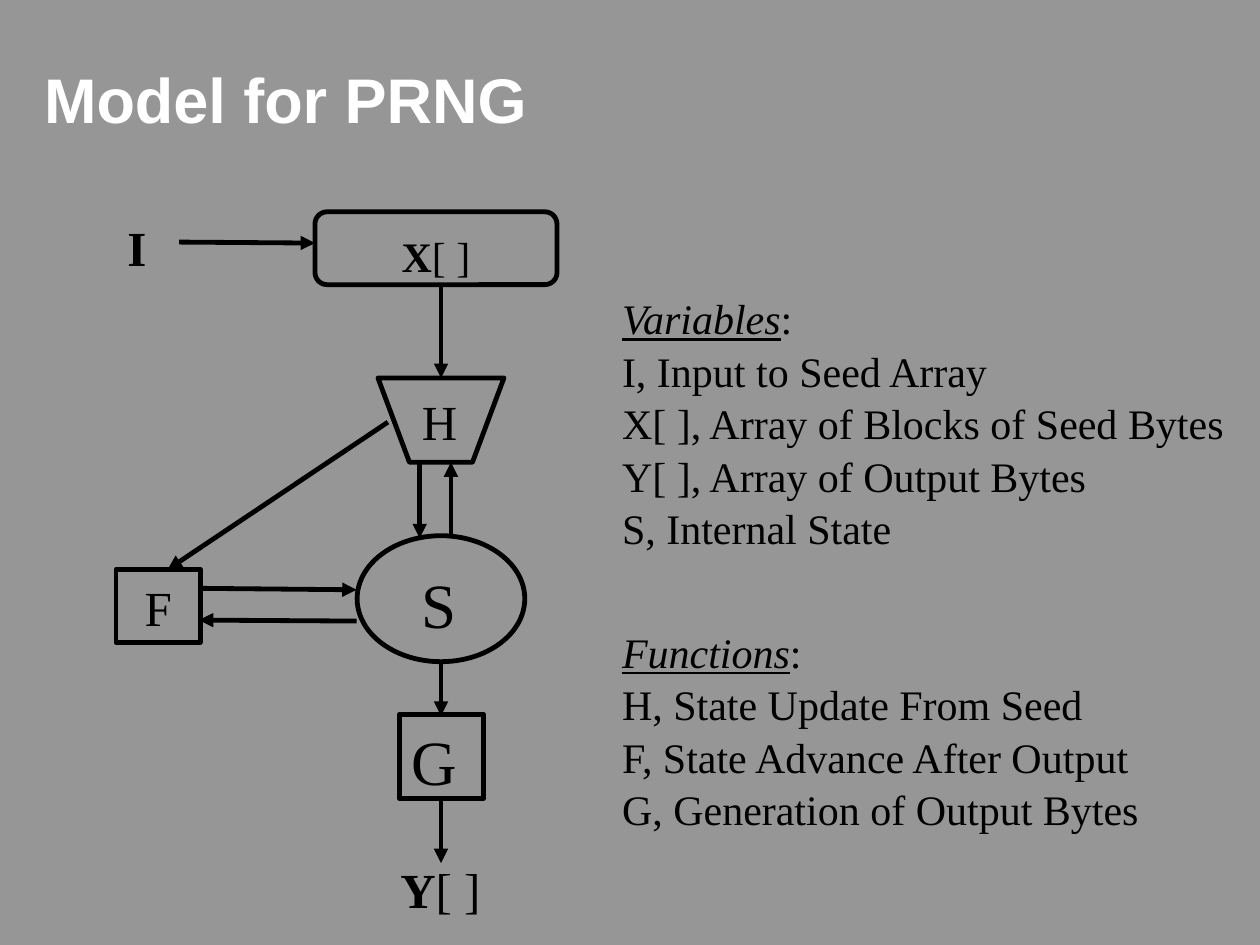
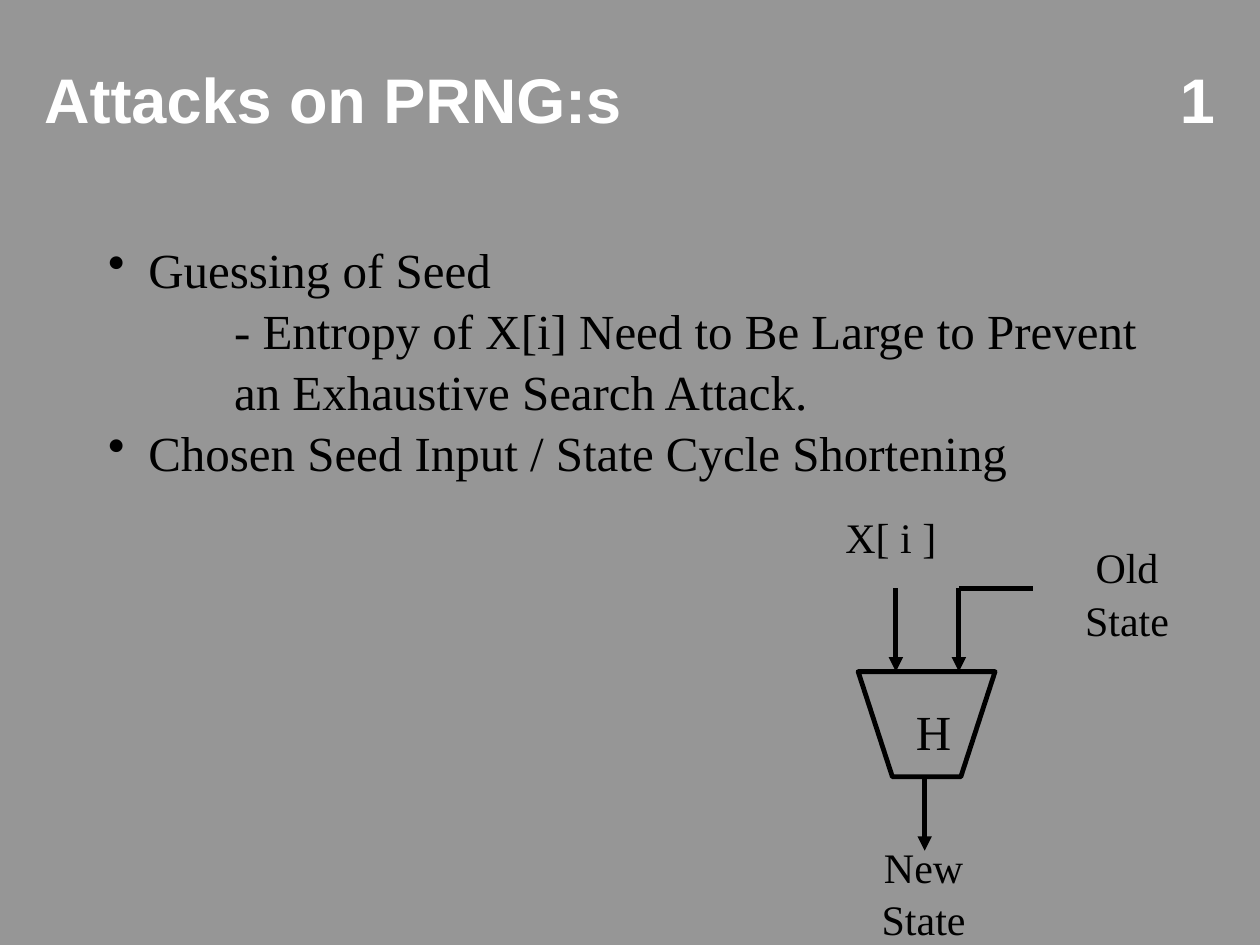
from typing import NamedTuple

from lxml import etree
from pptx import Presentation
from pptx import util as u
from pptx.dml.color import RGBColor
from pptx.enum import shapes, text
from pptx.oxml.ns import qn

GREY, WHITE, BLACK = "969696", "FFFFFF", "000000"
SANS, SERIF = "Arial", "Times New Roman"
PEN = 2.75
LEAD = 1.04  # line spacing of the serif text
HEAD = {"name": SANS, "size": u.Pt(36), "bold": True}
BOLD = {"bold": True}
TOPIC = {"italic": True, "underline": True}
KIND = shapes.MSO_SHAPE


class Run(NamedTuple):
    text: str
    form: dict = {}


class Label(NamedTuple):
    """Centred text around the point x, y."""
    x: float
    y: float
    size: int
    runs: list


class Node(NamedTuple):
    kind: int
    x: float
    y: float
    wide: float
    high: float


class Link(NamedTuple):
    x1: float
    y1: float
    x2: float
    y2: float
    arrow: bool = True


class Row(NamedTuple):
    runs: list
    left: float = 0
    bullet: bool = False
    gap: float = 0


def paint(hue: str) -> RGBColor:
    return RGBColor.from_string(hue)


# Text
def add_runs(para, runs: list, base: dict, hue: str = BLACK) -> None:
    for part in runs:
        run = para.add_run()
        run.text = part.text
        for key, val in {**base, **part.form}.items():
            setattr(run.font, key, val)
        run.font.color.rgb = paint(hue)


def serif(size: int) -> dict:
    return {"name": SERIF, "size": u.Pt(size)}


def add_box(slide, x: float, y: float, wide: float, high: float, **form):
    frame = slide.shapes.add_textbox(u.Cm(x), u.Cm(y), u.Cm(wide), u.Cm(high)).text_frame
    for key, val in form.items():
        setattr(frame, key, val)
    return frame


def centre(frame, runs: list, size: int) -> None:
    frame.word_wrap = False
    frame.vertical_anchor = text.MSO_ANCHOR.MIDDLE
    para = frame.paragraphs[0]
    para.alignment = text.PP_ALIGN.CENTER
    para.line_spacing = LEAD
    add_runs(para, runs, serif(size))


def add_label(slide, item: Label) -> None:
    wide, high = 2.5, 1.5
    frame = add_box(slide, item.x - wide / 2, item.y - high / 2, wide, high)
    centre(frame, item.runs, item.size)


def add_rows(slide, x: float, y: float, wide: float, high: float,
             size: int, rows: list[Row]) -> None:
    frame = add_box(slide, x, y, wide, high, word_wrap=True)
    for num, row in enumerate(rows):
        para = frame.add_paragraph() if num else frame.paragraphs[0]
        props = para._p.get_or_add_pPr()
        if row.left:
            props.set("marL", str(u.Cm(row.left)))
        if row.bullet:
            props.set("indent", str(-u.Cm(row.left)))
            etree.SubElement(props, qn("a:buChar"), char="•")
        para.line_spacing = LEAD
        if row.gap:
            para.space_before = u.Cm(row.gap)
        add_runs(para, row.runs, serif(size))


# Shapes and lines
def ink(shape) -> None:
    shape.line.color.rgb = paint(BLACK)
    shape.line.width = u.Pt(PEN)


def hollow(shape):
    shape.shadow.inherit = False
    shape.fill.background()
    ink(shape)
    return shape


def add_node(slide, node: Node):
    kind, *area = node
    return hollow(slide.shapes.add_shape(kind, *map(u.Cm, area)))


def add_funnel(slide, x: float, y: float, wide: float, high: float) -> None:
    slant = wide / 4
    dots = [(x + wide, y), (x + wide - slant, y + high), (x + slant, y + high)]
    path = slide.shapes.build_freeform(u.Cm(x), u.Cm(y))
    path.add_line_segments([(u.Cm(a), u.Cm(b)) for a, b in dots], close=True)
    hollow(path.convert_to_shape())


def add_link(slide, link: Link) -> None:
    *ends, arrow = link
    line = slide.shapes.add_connector(shapes.MSO_CONNECTOR.STRAIGHT, *map(u.Cm, ends))
    ink(line)
    if arrow:
        etree.SubElement(line.line._get_or_add_ln(), qn("a:tailEnd"), type="triangle")
    etree.SubElement(line._element.spPr, qn("a:effectLst"))


# Shared slide frame
def add_slide(deck, title: str):
    slide = deck.slides.add_slide(deck.slide_layouts[6])
    fill = slide.background.fill
    fill.solid()
    fill.fore_color.rgb = paint(GREY)
    frame = add_box(slide, 0.64, 1.04, 24.76, 1.88, word_wrap=True,
                    vertical_anchor=text.MSO_ANCHOR.MIDDLE)
    para = frame.paragraphs[0]
    if "\t" in title:
        tabs = etree.SubElement(para._p.get_or_add_pPr(), qn("a:tabLst"))
        etree.SubElement(tabs, qn("a:tab"), pos=str(u.Cm(23.6)), algn="r")
    add_runs(para, [Run(title)], HEAD, WHITE)
    return slide


def draw(slide, links: list[Link], labels: list[Label]) -> None:
    for link in links:
        add_link(slide, link)
    for item in labels:
        add_label(slide, item)


def add_model(deck) -> None:
    slide = add_slide(deck, "Model for PRNG")
    mid = 8.89  # axis of the flow chart
    for node in (Node(KIND.ROUNDED_RECTANGLE, 6.35, 4.27, 4.88, 1.47),
                 Node(KIND.OVAL, 7.2, 10.8, 3.38, 2.54),
                 Node(KIND.RECTANGLE, 8.05, 14.4, 1.7, 1.7)):
        add_node(slide, node)
    step = add_node(slide, Node(KIND.RECTANGLE, 2.34, 11.48, 1.7, 1.47))
    centre(step.text_frame, [Run("F")], 28)
    add_funnel(slide, 7.62, 7.62, 2.54, 1.7)
    draw(slide, [
        Link(3.61, 4.88, 6.35, 4.9),
        Link(mid, 5.77, mid, 7.62),
        Link(8.46, 9.32, 8.46, 10.85),
        Link(9.09, 10.85, 9.09, 9.32),
        Link(7.82, 8.51, 3.38, 11.48),
        Link(4.01, 11.86, 7.19, 11.89),
        Link(7.19, 12.52, 4.01, 12.5),
        Link(mid, 13.34, mid, 14.43),
        Link(mid, 16.13, mid, 17.4),
    ], [
        Label(2.76, 4.96, 28, [Run("I", BOLD)]),
        Label(8.79, 5.13, 24, [Run("X", BOLD), Run("[ ]")]),
        Label(8.86, 8.47, 28, [Run("H")]),
        Label(8.86, 12.14, 36, [Run("S")]),
        Label(8.76, 15.29, 36, [Run("G")]),
        Label(8.88, 17.89, 28, [Run("Y", BOLD), Run("[ ]")]),
    ])
    # Legend
    add_rows(slide, 12.29, 5.74, 12.95, 11.84, 24, [
        Row([Run("Variables", TOPIC), Run(":")]),
        Row([Run("I, Input to Seed Array")]),
        Row([Run("X[ ], Array of Blocks of Seed Bytes")]),
        Row([Run("Y[ ], Array of Output Bytes")]),
        Row([Run("S, Internal State")]),
        Row([Run("Functions", TOPIC), Run(":")], gap=1.44),
        Row([Run("H, State Update From Seed")]),
        Row([Run("F, State Advance After Output")]),
        Row([Run("G, Generation of Output Bytes")]),
    ])


def add_attacks(deck) -> None:
    slide = add_slide(deck, "Attacks on PRNG:s\t1")
    dot, deep = 0.81, 2.54
    add_rows(slide, 1.93, 4.65, 22.5, 5, 28, [
        Row([Run("Guessing of Seed")], dot, True),
        Row([Run("- Entropy of X[i] Need to Be Large to Prevent")], deep),
        Row([Run("an Exhaustive Search Attack.")], deep),
        Row([Run("Chosen Seed Input / State Cycle Shortening")], dot, True),
    ])
    # State update
    start, top, old = 11.86, 13.54, 19.33
    add_funnel(slide, 17.3, top, 2.76, 2.12)
    draw(slide, [
        Link(18.06, start, 18.06, top),
        Link(old, start, old, top),
        Link(old, start, 20.83, start, False),
        Link(18.64, 15.67, 18.64, 17.15),
    ], [
        Label(17.96, 10.8, 24, [Run("X[ i ]")]),
        Label(22.72, 11.94, 24, [Run("Old State")]),
        Label(18.62, 17.98, 24, [Run("New State")]),
        Label(18.82, 14.72, 28, [Run("H")]),
    ])


def main() -> None:
    deck = Presentation()
    deck.slide_width, deck.slide_height = u.Cm(25.4), u.Cm(19.05)
    add_model(deck)
    add_attacks(deck)
    deck.save("out.pptx")


if __name__ == "__main__":
    main()
